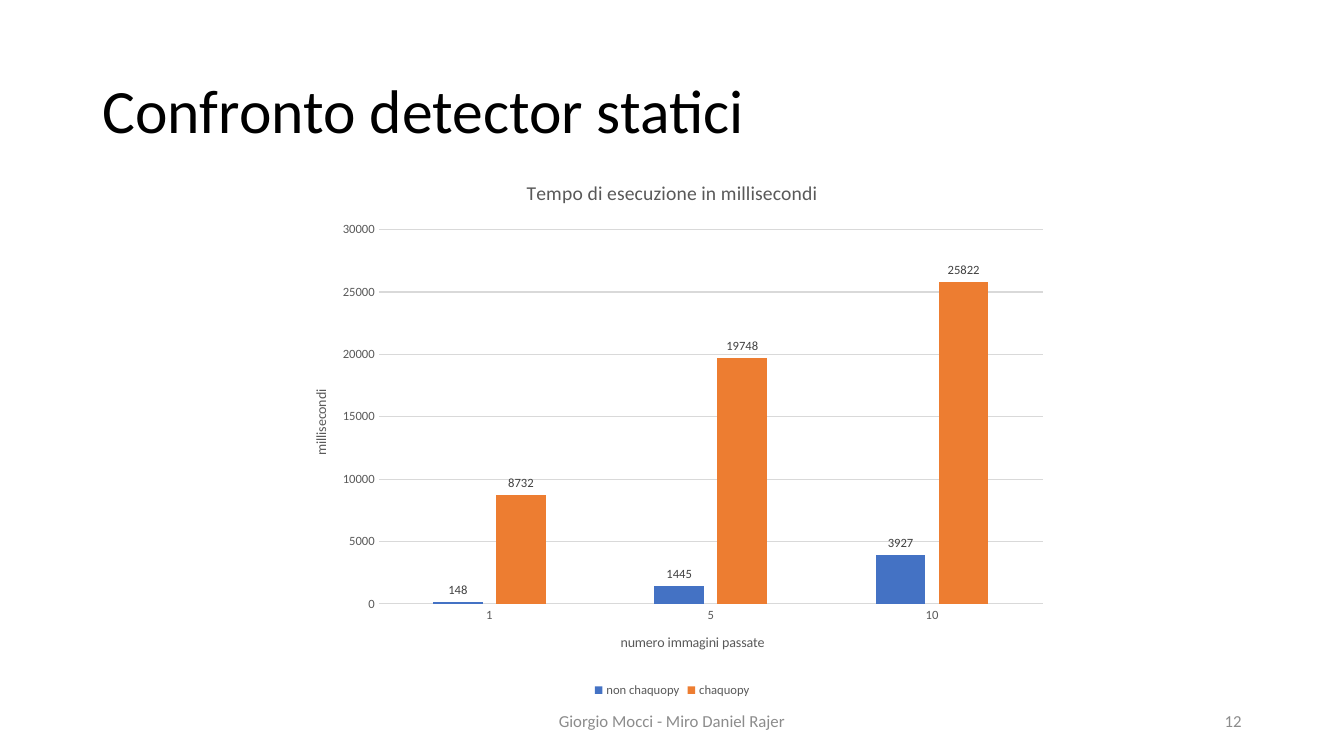
from lxml import etree
from pptx import Presentation
from pptx.chart.data import CategoryChartData as Data
from pptx.dml.color import RGBColor
from pptx.enum.chart import XL_CHART_TYPE as Kind, XL_LABEL_POSITION as Spot
from pptx.enum.chart import XL_LEGEND_POSITION as Side, XL_TICK_MARK as Tick
from pptx.enum.text import MSO_ANCHOR as Anchor, PP_ALIGN as Align
from pptx.oxml.ns import qn
from pptx.util import Cm, Pt

FACE = "Calibri"
BLACK, GREY, DARK, RULE, FOOT = "000000", "595959", "404040", "D9D9D9", "8C8C8C"
CATS = ["1", "5", "10"]
SERIES = [
    ("non chaquopy", [148, 1445, 3927], "4472C4"),
    ("chaquopy", [8732, 19748, 25822], "ED7D31"),
]


def color(code):
    return RGBColor.from_string(code)


def apply(item, form):
    for name, value in form.items():
        setattr(item, name, value)


def style(font, size, code):
    apply(font, {"name": FACE, "size": Pt(size), "bold": False})
    font.color.rgb = color(code)


def rule(line):
    line.color.rgb = color(RULE)
    line.width = Pt(0.75)


def place(shape, box):
    apply(shape, dict(zip(("left", "top", "width", "height"), map(Cm, box))))


def write(frame, text, size, code, form):
    apply(frame, {"word_wrap": True, "vertical_anchor": Anchor.MIDDLE})
    para = frame.paragraphs[0]
    apply(para, form)
    run = para.add_run()
    run.text = text
    style(run.font, size, code)


def head(slide, box, text):
    title = slide.shapes.title
    place(title, box)
    write(title.text_frame, text, 44, BLACK,
          {"alignment": Align.LEFT, "line_spacing": 0.9})


def note(slide, box, text, align):
    area = slide.shapes.add_textbox(*map(Cm, box))
    write(area.text_frame, text, 12, FOOT, {"alignment": align})


def label(owner, text, size):
    """Give a chart or an axis its title."""
    frame = owner.text_frame
    frame.text = text
    style(frame.paragraphs[0].runs[0].font, size, GREY)


def layout(parent, x, y, w=None, h=None, inner=False):
    """Fix a chart part at fractions of the chart area."""
    node = parent.find(qn("c:layout"))
    if node is None:
        node = etree.Element(qn("c:layout"))
        text = parent.find(qn("c:tx"))
        parent.insert(0 if text is None else 1, node)
    for child in list(node):
        node.remove(child)
    manual = etree.SubElement(node, qn("c:manualLayout"))
    parts = [("layoutTarget", "inner")] if inner else []
    parts += [("xMode", "edge"), ("yMode", "edge"), ("x", x), ("y", y)]
    parts += [("w", w), ("h", h)] if w else []
    for tag, value in parts:
        etree.SubElement(manual, qn(f"c:{tag}")).set("val", str(value))


def graph(slide, box):
    data = Data()
    data.categories = CATS
    for name, values, _ in SERIES:
        data.add_series(name, values)
    chart = slide.shapes.add_chart(
        Kind.COLUMN_CLUSTERED, *map(Cm, box), data).chart
    style(chart.font, 10, BLACK)
    chart.has_title = True
    label(chart.chart_title, "Tempo di esecuzione in millisecondi", 14)
    plot = chart.plots[0]
    apply(plot, {"gap_width": 219, "overlap": -27, "vary_by_categories": False})
    for series, (_, _, code) in zip(plot.series, SERIES):
        bars(series, code)
    axes(chart.category_axis, chart.value_axis)
    chart.has_legend = True
    apply(chart.legend, {"position": Side.BOTTOM, "include_in_layout": False})
    style(chart.legend.font, 9, GREY)
    area = plot._element.getparent()
    layout(area, 0.12, 0.13, 0.86, 0.69, inner=True)
    layout(chart.category_axis.axis_title._element, 0.43, 0.87)
    layout(chart.value_axis.axis_title._element, 0.03, 0.42)


def bars(series, code):
    series.format.fill.solid()
    series.format.fill.fore_color.rgb = color(code)
    series.invert_if_negative = False
    labels = series.data_labels
    apply(labels, {"show_value": True, "position": Spot.OUTSIDE_END})
    style(labels.font, 9, DARK)


def axes(cat, val):
    for axis, text in ((cat, "numero immagini passate"), (val, "millisecondi")):
        apply(axis, {"has_title": True, "major_tick_mark": Tick.NONE,
                     "minor_tick_mark": Tick.NONE})
        label(axis.axis_title, text, 10)
        style(axis.tick_labels.font, 9, GREY)
    rule(cat.format.line)
    val.format.line.fill.background()
    apply(val, {"minimum_scale": 0, "maximum_scale": 30000, "major_unit": 5000,
                "has_major_gridlines": True})
    rule(val.major_gridlines.format.line)


def main():
    deck = Presentation()
    apply(deck, {"slide_width": Cm(33.87), "slide_height": Cm(19.05)})
    slide = deck.slides.add_slide(deck.slide_layouts[5])
    head(slide, (2.33, 1.01, 29.21, 3.68), "Confronto detector statici")
    graph(slide, (7.21, 4.01, 19.46, 13.67))
    note(slide, (11.22, 17.66, 11.43, 1.01),
         "Giorgio Mocci - Miro Daniel Rajer", Align.CENTER)
    note(slide, (23.92, 17.66, 7.62, 1.01), "12", Align.RIGHT)
    deck.save("out.pptx")


if __name__ == "__main__":
    main()
